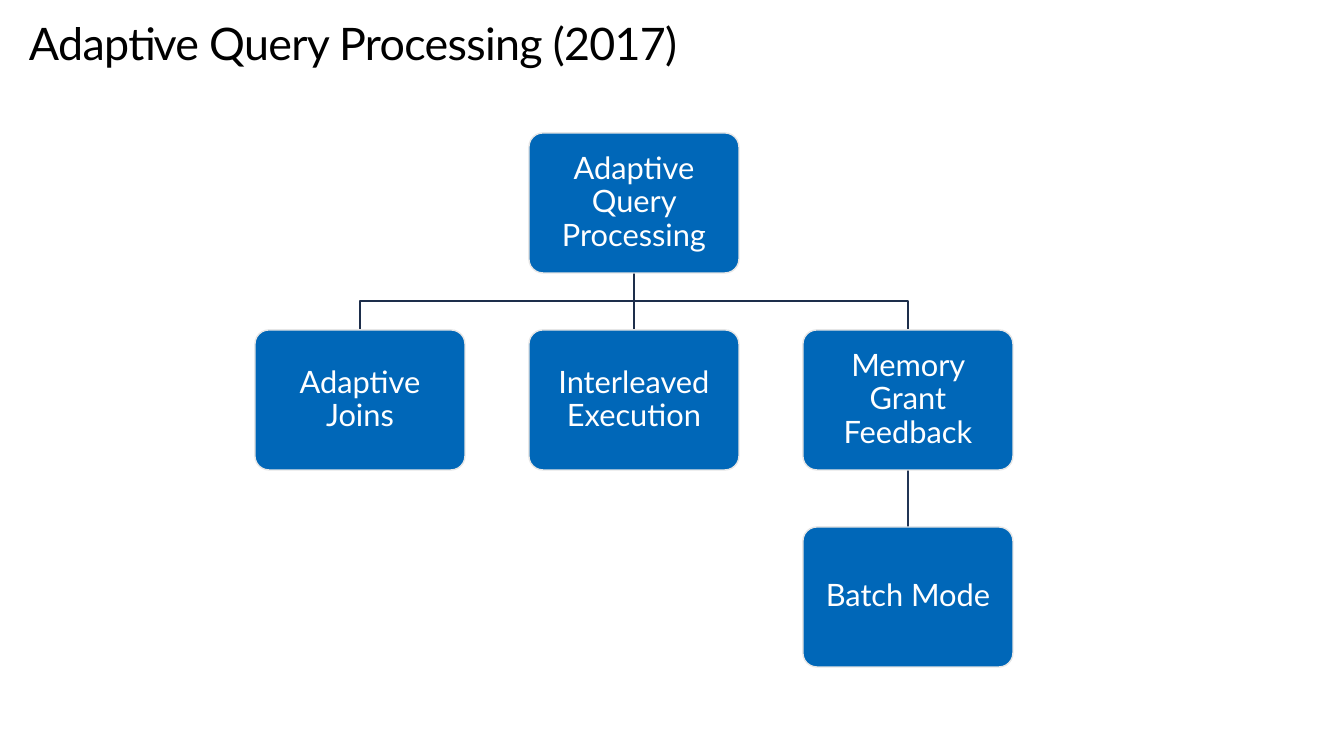
import dataclasses

import lxml.etree
import pptx
import pptx.dml.color
import pptx.enum.shapes
import pptx.enum.text
import pptx.oxml.ns
import pptx.shapes.autoshape
import pptx.shapes.base
import pptx.slide
import pptx.text.text
import pptx.util

EMU_PER_PX = 914400 / 100.8
SLIDE_WIDTH, SLIDE_HEIGHT = 1344, 756
BOX_WIDTH, BOX_HEIGHT = 210, 140
FIRST_LEFT, FIRST_TOP = 255, 133
COLUMN_STEP, ROW_STEP = 274, 197
BOX_MARGIN = 13

BLACK = pptx.dml.color.RGBColor(0x00, 0x00, 0x00)
WHITE = pptx.dml.color.RGBColor(0xFF, 0xFF, 0xFF)
BLUE = pptx.dml.color.RGBColor(0x00, 0x67, 0xB8)
PALE_GRAY = pptx.dml.color.RGBColor(0xE6, 0xE6, 0xE6)
NAVY = pptx.dml.color.RGBColor(0x1D, 0x2E, 0x4B)
LIGHT_NAVY = pptx.dml.color.RGBColor(0x21, 0x35, 0x55)

TITLE_FONT = {"name": "Lato", "size": pptx.util.Pt(32)}
NODE_FONT = {"name": "Lato", "size": pptx.util.Pt(22)}
TITLE_PARAGRAPH = {"line_spacing": pptx.util.Pt(36.2)}
NODE_PARAGRAPH = {"alignment": pptx.enum.text.PP_ALIGN.CENTER, "line_spacing": 0.9}


@dataclasses.dataclass(frozen=True)
class Node:
    label: str
    column: int
    row: int

    @property
    def left(self) -> int:
        return FIRST_LEFT + self.column * COLUMN_STEP

    @property
    def top(self) -> int:
        return FIRST_TOP + self.row * ROW_STEP

    @property
    def center(self) -> int:
        return self.left + BOX_WIDTH // 2

    @property
    def bottom(self) -> int:
        return self.top + BOX_HEIGHT


@dataclasses.dataclass(frozen=True)
class Link:
    parent: Node
    child: Node
    color: pptx.dml.color.RGBColor


ROOT = Node("Adaptive Query Processing", 1, 0)
JOINS = Node("Adaptive Joins", 0, 1)
EXECUTION = Node("Interleaved Execution", 1, 1)
FEEDBACK = Node("Memory Grant Feedback", 2, 1)
BATCH_MODE = Node("Batch Mode", 2, 2)

NODES = [ROOT, JOINS, EXECUTION, FEEDBACK, BATCH_MODE]
LINKS = [Link(ROOT, child, NAVY) for child in (JOINS, EXECUTION, FEEDBACK)]
LINKS.append(Link(FEEDBACK, BATCH_MODE, LIGHT_NAVY))


def px(length: int) -> pptx.util.Emu:
    return pptx.util.Emu(round(length * EMU_PER_PX))


def set_values(target: object, values: dict[str, object]) -> None:
    for name, value in values.items():
        setattr(target, name, value)


def write_text(
    shape: pptx.shapes.autoshape.Shape,
    text: str,
    margin: int,
    paragraph_format: dict[str, object],
    font_format: dict[str, object],
    color: pptx.dml.color.RGBColor,
) -> pptx.text.text._Run:
    frame = shape.text_frame
    frame.word_wrap = True
    sides = ("left", "top", "right", "bottom")
    set_values(frame, {f"margin_{side}": px(margin) for side in sides})
    para = frame.paragraphs[0]
    set_values(para, paragraph_format)
    span = para.add_run()
    span.text = text
    set_values(span.font, font_format)
    span.font.color.rgb = color
    return span


def draw_title(page: pptx.slide.Slide, text: str) -> None:
    box = page.shapes.add_textbox(px(29), px(19), px(1210), px(50))
    span = write_text(box, text, 0, TITLE_PARAGRAPH, TITLE_FONT, BLACK)
    span._r.get_or_add_rPr().set("spc", "-50")


def draw_link(page: pptx.slide.Slide, link: Link) -> None:
    """Join two boxes: straight within a column, otherwise bent halfway."""
    start_x, start_y = link.parent.center, link.parent.bottom
    end_x, end_y = link.child.center, link.child.top
    if start_x == end_x:
        line = page.shapes.add_connector(
            pptx.enum.shapes.MSO_CONNECTOR.STRAIGHT,
            px(start_x), px(start_y), px(end_x), px(end_y),
        )
        effects = pptx.oxml.ns.qn("a:effectLst")
    else:
        middle_y = (start_y + end_y) // 2
        builder = page.shapes.build_freeform(start_x, start_y, scale=EMU_PER_PX)
        corners = [(start_x, middle_y), (end_x, middle_y), (end_x, end_y)]
        builder.add_line_segments(corners, close=False)
        line = builder.convert_to_shape()
        line.fill.background()
        line.shadow.inherit = False
        effects = None
    line.line.color.rgb = link.color
    line.line.width = pptx.util.Pt(1)
    if effects:
        lxml.etree.SubElement(line._element.spPr, effects)


def draw_node(page: pptx.slide.Slide, node: Node) -> None:
    box = page.shapes.add_shape(
        pptx.enum.shapes.MSO_SHAPE.ROUNDED_RECTANGLE,
        px(node.left), px(node.top), px(BOX_WIDTH), px(BOX_HEIGHT),
    )
    box.adjustments[0] = 0.1
    box.shadow.inherit = False
    box.fill.solid()
    box.fill.fore_color.rgb = BLUE
    box.line.color.rgb = PALE_GRAY
    box.line.width = pptx.util.Pt(1)
    box.text_frame.vertical_anchor = pptx.enum.text.MSO_ANCHOR.MIDDLE
    write_text(box, node.label, BOX_MARGIN, NODE_PARAGRAPH, NODE_FONT, WHITE)


def main() -> None:
    deck = pptx.Presentation()
    deck.slide_width, deck.slide_height = px(SLIDE_WIDTH), px(SLIDE_HEIGHT)
    page = deck.slides.add_slide(deck.slide_layouts[6])
    draw_title(page, "Adaptive Query Processing (2017)")
    for link in LINKS:
        draw_link(page, link)
    for node in NODES:
        draw_node(page, node)
    deck.save("out.pptx")


if __name__ == "__main__":
    main()
